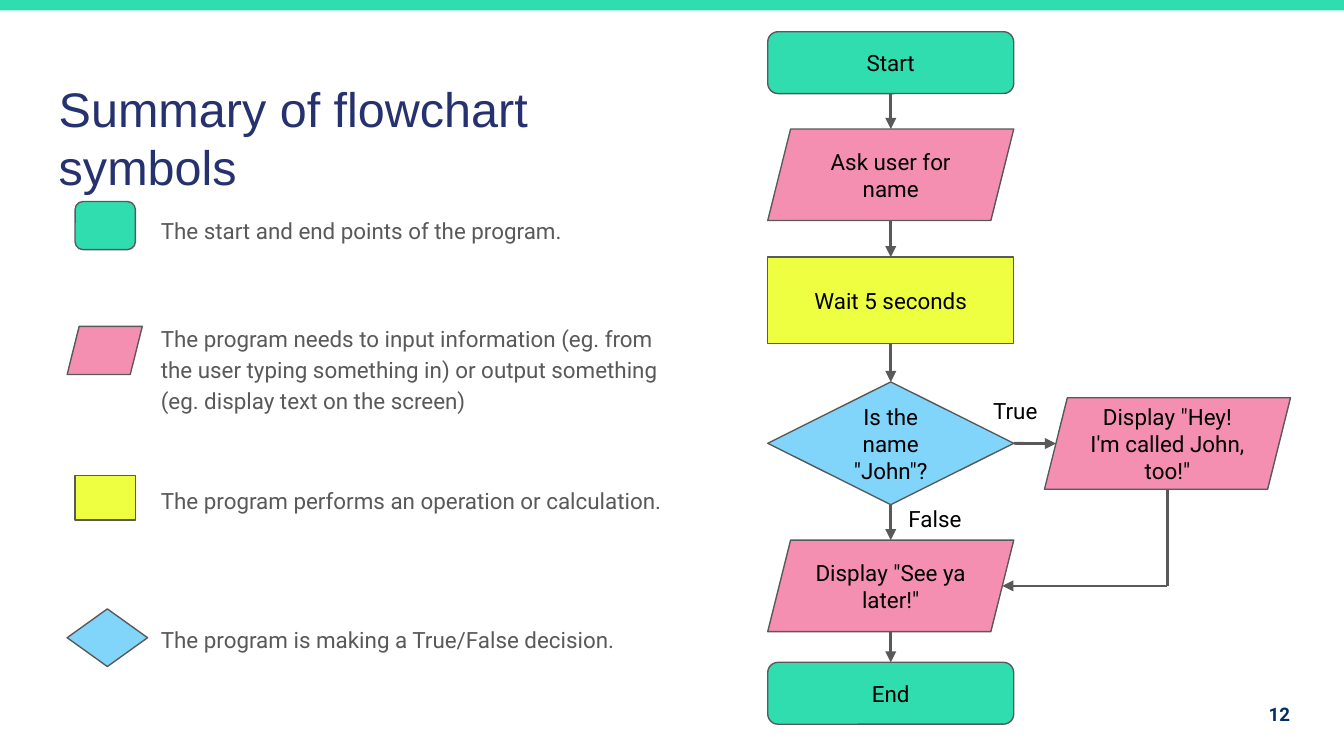
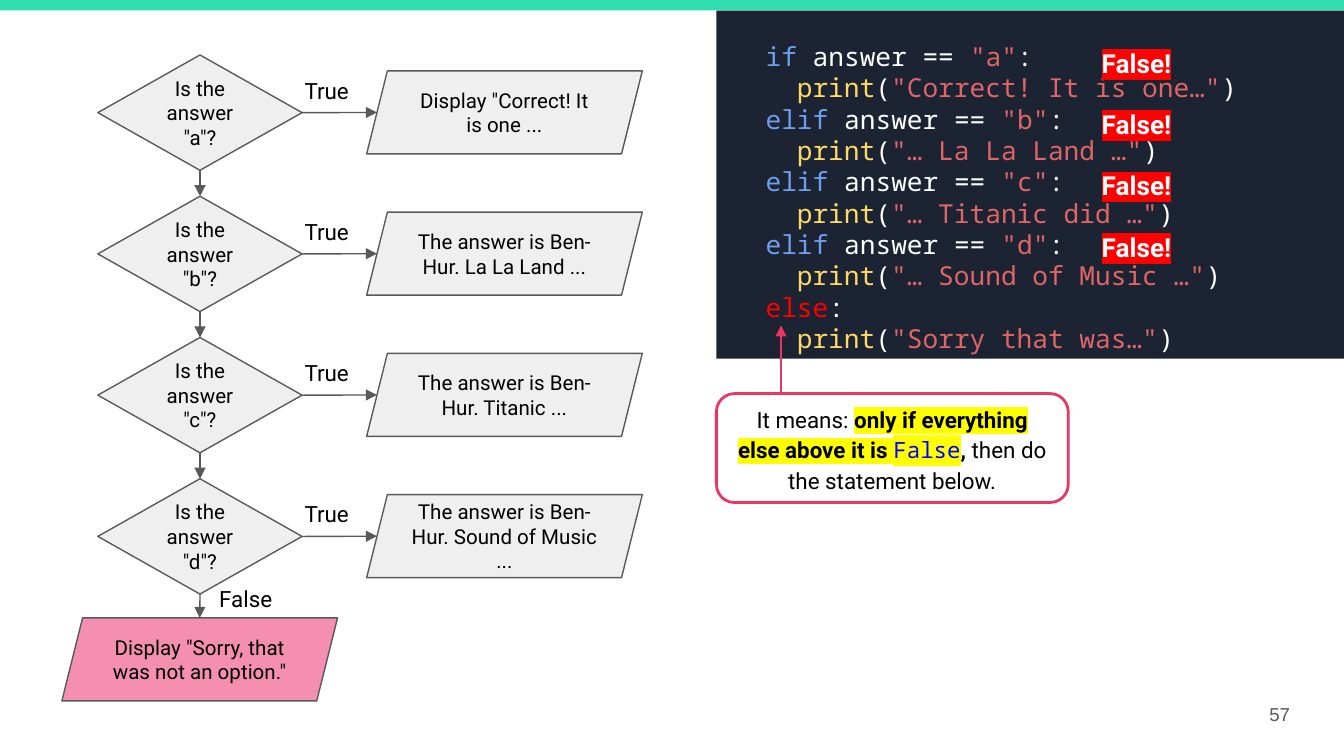
from dataclasses import dataclass
from itertools import pairwise

from lxml.etree import SubElement
from pptx import Presentation
from pptx.dml.color import RGBColor
from pptx.enum.shapes import MSO_CONNECTOR, MSO_SHAPE
from pptx.enum.text import MSO_ANCHOR, PP_ALIGN
from pptx.oxml.ns import qn
from pptx.util import Cm, Pt


@dataclass(frozen=True)
class Theme:
    green: str = "30DDAE"
    pink: str = "F48FB1"
    yellow: str = "EEFF41"
    blue: str = "81D4FA"
    pale: str = "EFEFEF"
    grey: str = "595959"
    black: str = "000000"
    white: str = "FFFFFF"
    title: str = "25326F"
    number: str = "032F62"
    red: str = "FF0000"
    marker: str = "FFFF00"
    callout: str = "E93761"
    value: str = "0000FF"
    code_panel: str = "1C2333"
    keyword: str = "6D9EEB"
    function: str = "FFD966"
    string: str = "E06666"
    text_font: str = "Roboto"
    title_font: str = "Arial"
    code_font: str = "Noto Sans Mono"
    title_size: int = 26
    code_size: int = 14
    text_size: int = 12
    small_size: int = 11
    number_size: int = 10


THEME = Theme()


@dataclass
class Span:
    text: str
    color: str | None = None
    bold: bool | None = None
    font: str | None = None
    highlight: str | None = None


def rgb(color):
    return RGBColor.from_string(color)


def add_span(paragraph, span):
    run = paragraph.add_run()
    run.text = span.text
    if span.bold is not None:
        run.font.bold = span.bold
    if span.color:
        run.font.color.rgb = rgb(span.color)
    if span.highlight:
        properties = run.font._element
        highlight = SubElement(properties, qn("a:highlight"))
        SubElement(highlight, qn("a:srgbClr"), val=span.highlight)
    if span.font:
        run.font.name = span.font


def write(box, lines, size=THEME.text_size, color=THEME.black, font=THEME.text_font,
          bold=False, align=PP_ALIGN.LEFT, anchor=MSO_ANCHOR.TOP, spacing=None):
    """Fill a shape with lines, each a string or a list of spans."""
    frame = box.text_frame
    frame.word_wrap = True
    frame.vertical_anchor = anchor
    frame.margin_left = frame.margin_right = Cm(0.25)
    frame.margin_top = frame.margin_bottom = Cm(0.25)
    for index, line in enumerate(lines):
        paragraph = frame.add_paragraph() if index else frame.paragraphs[0]
        paragraph.alignment = align
        if spacing:
            paragraph.line_spacing = spacing
        paragraph.font.size = Pt(size)
        paragraph.font.name = font
        paragraph.font.bold = bold
        paragraph.font.color.rgb = rgb(color)
        for span in [Span(line)] if isinstance(line, str) else line:
            add_span(paragraph, span)


def add_text(page, place, lines, **style):
    box = page.shapes.add_textbox(*map(Cm, place))
    write(box, lines, **style)
    return box


def add_symbol(page, kind, place, fill, text=None, size=THEME.text_size,
               line=THEME.grey, weight=0.75, spacing=None):
    shape = page.shapes.add_shape(kind, *map(Cm, place))
    shape.shadow.inherit = False
    shape.fill.solid()
    shape.fill.fore_color.rgb = rgb(fill)
    if line:
        shape.line.color.rgb = rgb(line)
        shape.line.width = Pt(weight)
    else:
        shape.line.fill.background()
    if text:
        write(shape, [text], size=size, align=PP_ALIGN.CENTER,
              anchor=MSO_ANCHOR.MIDDLE, spacing=spacing)
    return shape


def add_route(page, *points, color=THEME.grey, weight=1.5):
    """Join points with straight lines and put an arrowhead on the last."""
    for start, end in pairwise(points):
        connector = page.shapes.add_connector(MSO_CONNECTOR.STRAIGHT, *start, *end)
        connector.line.color.rgb = rgb(color)
        connector.line.width = Pt(weight)
        if end == points[-1]:
            SubElement(connector.line._get_or_add_ln(), qn("a:tailEnd"), type="triangle")
        SubElement(connector._element.spPr, qn("a:effectLst"))


def slant(shape):
    """Distance from the side of the frame to the middle of a sloping edge."""
    is_slanted = shape.auto_shape_type == MSO_SHAPE.PARALLELOGRAM
    return shape.height // 8 if is_slanted else 0


def top(shape):
    return shape.left + shape.width // 2, shape.top


def bottom(shape):
    return shape.left + shape.width // 2, shape.top + shape.height


def left(shape):
    return shape.left + slant(shape), shape.top + shape.height // 2


def right(shape):
    return shape.left + shape.width - slant(shape), shape.top + shape.height // 2


def add_page_number(page, number, **style):
    add_text(page, (23.11, 12.95, 1.52, 1.09), [number], size=THEME.number_size,
             align=PP_ALIGN.RIGHT, anchor=MSO_ANCHOR.MIDDLE, **style)


def add_master_band(deck, page):
    """Draw the top band and move it to the master, which all slides share."""
    band = add_symbol(page, MSO_SHAPE.RECTANGLE, (-0.03, 0, 25.45, 0.2),
                      THEME.green, line=None)
    deck.slide_master.shapes._spTree.append(band._element)


def add_title(page, text):
    title = page.shapes.title
    title.left, title.top, title.width, title.height = map(Cm, (0.86, 1.24, 12.57, 1.6))
    write(title, [text], size=THEME.title_size, color=THEME.title, font=THEME.title_font)


def add_legend(page):
    rows = [
        (MSO_SHAPE.ROUNDED_RECTANGLE, (1.42, 3.81, 1.14, 0.91), THEME.green, 3.78, 8.76,
         "The start and end points of the program."),
        (MSO_SHAPE.PARALLELOGRAM, (1.27, 6.17, 1.42, 0.91), THEME.pink, 5.82, 10.31,
         "The program needs to input information (eg. from the user typing something in) "
         "or output something (eg. display text on the screen)"),
        (MSO_SHAPE.RECTANGLE, (1.42, 8.99, 1.14, 0.84), THEME.yellow, 8.89, 10.31,
         "The program performs an operation or calculation."),
        (MSO_SHAPE.DIAMOND, (1.27, 11.51, 1.52, 1.09), THEME.blue, 11.51, 9.22,
         "The program is making a True/False decision."),
    ]
    for kind, place, fill, text_top, text_width, text in rows:
        add_symbol(page, kind, place, fill)
        add_text(page, (2.79, text_top, text_width, 1.6), [text],
                 color=THEME.grey, spacing=1.15)


def add_name_flowchart(page):
    steps = [
        (MSO_SHAPE.ROUNDED_RECTANGLE, 0.6, 1.17, THEME.green, "Start"),
        (MSO_SHAPE.PARALLELOGRAM, 2.44, 1.73, THEME.pink, "Ask user for name"),
        (MSO_SHAPE.RECTANGLE, 4.86, 1.63, THEME.yellow, "Wait 5 seconds"),
        (MSO_SHAPE.DIAMOND, 7.22, 2.32, THEME.blue, 'Is the name "John"?'),
        (MSO_SHAPE.PARALLELOGRAM, 10.21, 1.73, THEME.pink, 'Display "See ya later!"'),
        (MSO_SHAPE.ROUNDED_RECTANGLE, 12.52, 1.17, THEME.green, "End"),
    ]
    shapes = [add_symbol(page, kind, (14.51, y, 4.65, height), fill, text)
              for kind, y, height, fill, text in steps]
    for upper, lower in pairwise(shapes):
        add_route(page, bottom(upper), top(lower))
    decision, farewell = shapes[3:5]
    greeting = add_symbol(page, MSO_SHAPE.PARALLELOGRAM, (19.74, 7.52, 4.65, 1.73),
                          THEME.pink, 'Display "Hey! I\'m called John, too!"')
    add_route(page, right(decision), left(greeting))
    corner = bottom(greeting)[0], right(farewell)[1]
    add_route(page, bottom(greeting), corner, right(farewell))
    add_text(page, (18.52, 7.26, 1.42, 0.91), ["True"])
    add_text(page, (16.92, 9.3, 1.85, 0.91), ["False"])


def add_quiz_flowchart(page):
    answers = {
        "a": 'Display "Correct! It is one ...',
        "b": "The answer is Ben-Hur. La La Land ...",
        "c": "The answer is Ben-Hur. Titanic ...",
        "d": "The answer is Ben-Hur. Sound of Music ...",
    }
    chain = []
    for index, (letter, reply) in enumerate(answers.items()):
        y = 1.04 + 2.67 * index
        question = add_symbol(page, MSO_SHAPE.DIAMOND, (1.85, y, 3.86, 2.18), THEME.pale,
                              f'Is the answer "{letter}"?', THEME.small_size)
        output = add_symbol(page, MSO_SHAPE.PARALLELOGRAM, (6.93, y + 0.3, 5.21, 1.57),
                            THEME.pale, reply, THEME.small_size)
        add_route(page, right(question), left(output), weight=0.75)
        add_text(page, (5.4, y + 0.16, 1.55, 0.69), ["True"], align=PP_ALIGN.CENTER)
        chain.append(question)
    chain.append(add_symbol(page, MSO_SHAPE.PARALLELOGRAM, (1.17, 11.68, 5.21, 1.57),
                            THEME.pink, 'Display "Sorry, that was not an option."',
                            THEME.small_size))
    for upper, lower in pairwise(chain):
        add_route(page, bottom(upper), top(lower), weight=0.75)
    add_text(page, (3.87, 10.82, 1.55, 0.69), ["False"], align=PP_ALIGN.CENTER)


def condition(keyword, letter):
    return [Span(keyword, THEME.keyword), Span(" answer == "),
            Span(f'"{letter}"', THEME.string), Span(":")]


def print_call(text):
    return [Span("print", THEME.function), Span("("),
            Span(f'"{text}"', THEME.string), Span(")")]


def add_code(page):
    add_symbol(page, MSO_SHAPE.RECTANGLE, (13.54, 0.2, 11.86, 6.58),
               THEME.code_panel, line=None)
    lines = [
        condition("if", "a"), print_call("Correct! It is one…"),
        condition("elif", "b"), print_call("… La La Land …"),
        condition("elif", "c"), print_call("… Titanic did …"),
        condition("elif", "d"), print_call("… Sound of Music …"),
        [Span("else", THEME.red), Span(":")], print_call("Sorry that was…"),
    ]
    code = add_text(page, (14.22, 0.51, 10.41, 5.61), lines, size=THEME.code_size,
                    color=THEME.white, font=THEME.code_font)
    for paragraph in code.text_frame.paragraphs[1::2]:
        paragraph._p.get_or_add_pPr().set("marL", str(Cm(0.59)))
    for index in range(4):
        badge = Span("False!", THEME.white, highlight=THEME.red)
        add_text(page, (20.35, 0.64 + 1.16 * index, 2.26, 0.79), [[badge]],
                 size=THEME.code_size, bold=True, align=PP_ALIGN.CENTER)


def add_else_callout(page):
    explanation = [
        Span("It means: "),
        Span("only if everything else above it is ", THEME.black, True,
             highlight=THEME.marker),
        Span("False", THEME.value, font=THEME.code_font, highlight=THEME.marker),
        Span(",", bold=True),
        Span(" then do the statement below."),
    ]
    add_symbol(page, MSO_SHAPE.ROUNDED_RECTANGLE, (13.54, 7.44, 6.65, 2.06), THEME.white,
               explanation, line=THEME.callout, weight=1.5, spacing=1.15)
    add_route(page, (Cm(14.76), Cm(7.42)), (Cm(14.76), Cm(6.15)), color=THEME.callout)


def main():
    deck = Presentation()
    deck.slide_width, deck.slide_height = Cm(25.4), Cm(14.29)
    title_only, blank = deck.slide_layouts[5], deck.slide_layouts[6]

    summary = deck.slides.add_slide(title_only)
    add_master_band(deck, summary)
    add_title(summary, "Summary of flowchart symbols")
    add_legend(summary)
    add_name_flowchart(summary)
    add_page_number(summary, "12", color=THEME.number, bold=True)

    quiz = deck.slides.add_slide(blank)
    add_quiz_flowchart(quiz)
    add_code(quiz)
    add_else_callout(quiz)
    add_page_number(quiz, "57", color=THEME.grey, font=THEME.title_font)

    deck.save("out.pptx")


if __name__ == "__main__":
    main()
